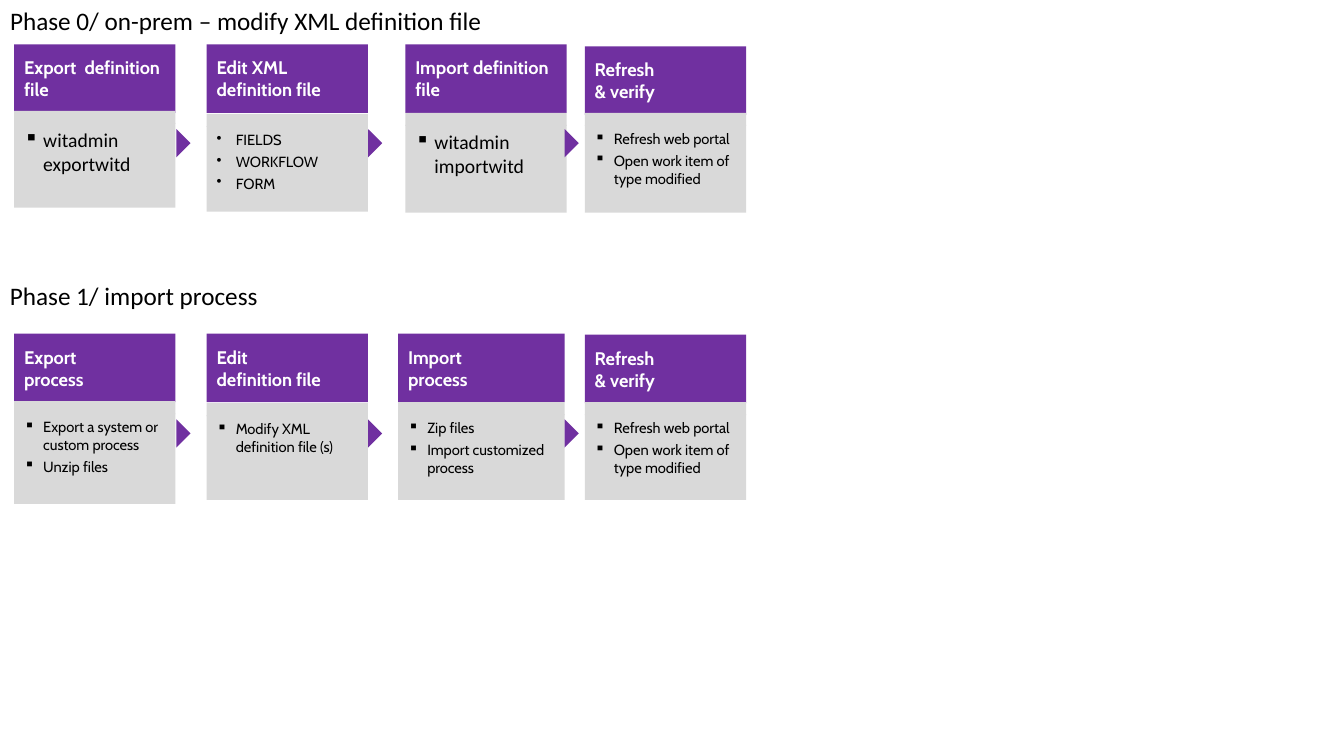
import pptx
import pptx.util
import pptx.dml.color
import pptx.enum.shapes
import pptx.enum.text
import lxml.etree

RGB = pptx.dml.color.RGBColor
PURPLE = RGB(0x70, 0x30, 0xA0)
GREY = RGB(0xD9, 0xD9, 0xD9)
WHITE = RGB(0xFF, 0xFF, 0xFF)
BLACK = RGB(0, 0, 0)
KIND = pptx.enum.shapes.MSO_SHAPE
ANCHOR = pptx.enum.text.MSO_ANCHOR
LEFT = pptx.enum.text.PP_ALIGN.LEFT

deck = pptx.Presentation()
deck.slide_width = pptx.util.Inches(13.33)
deck.slide_height = pptx.util.Inches(7.5)
slide = deck.slides.add_slide(deck.slide_layouts[5])

# All lengths are percent of the slide's width or height
COL = deck.slide_width / 100
ROW = deck.slide_height / 100
HEAD = 9.07            # header height
STRIP = 1.73           # strip that joins header and list
LIFT = 1.6             # strip starts this far above the list
ARROWS = [12.6, 26.86, 41.49]
INDENT = pptx.util.Inches(0.19)


def add_block(kind, x, y, wide, high, color):
    block = slide.shapes.add_shape(
        kind, int(x * COL), int(y * ROW), int(wide * COL), int(high * ROW))
    block.shadow.inherit = False
    block.fill.solid()
    block.fill.fore_color.rgb = color
    block.line.fill.background()
    return block


def add_text(para, text, size, font, color, bold=False):
    para.alignment = LEFT
    for i, line in enumerate(text.split("\n")):
        if i:
            para.add_line_break()
        run = para.add_run()
        run.text = line
        run.font.size = pptx.util.Pt(size)
        run.font.name = font
        run.font.bold = bold
        run.font.color.rgb = color


# Each phase: heading, heading top, arrow top, cards
# Each card: left, width, header top, list top, list height,
#            header, bullet, list size, list font, items
VERIFY = ("Refresh\n& verify", "▪", 10.5, "Cabin",
          ["Refresh web portal", "Open work item of type modified"])
PHASES = [
    ("Phase 0/ on-prem – modify XML definition file", 0, 18, [
        (1.05, 12, 5.87, 16.27, 11.2, "Export  definition file",
         "▪", 14, "Calibri", ["witadmin exportwitd"]),
        (15.38, 12, 5.87, 16.67, 11.33, "Edit XML\ndefinition file",
         "•", 10.5, "Cabin", ["FIELDS", "WORKFLOW", "FORM"]),
        (30.16, 12, 5.87, 16.53, 11.6, "Import definition file",
         "▪", 14, "Calibri", ["witadmin importwitd"]),
        (43.51, 12, 6.13, 16.53, 11.6, *VERIFY)]),
    ("Phase 1/ import process", 36.4, 56.4, [
        (1.05, 12, 44.13, 54.67, 12, "Export\nprocess",
         "▪", 10.5, "Cabin",
         ["Export a system or custom process", "Unzip files"]),
        (15.38, 12, 44.13, 54.93, 11.2, "Edit\ndefinition file",
         "▪", 10.5, "Cabin", ["Modify XML definition file (s)"]),
        (29.63, 12.38, 44.13, 54.8, 11.33, "Import\nprocess",
         "▪", 10.5, "Cabin", ["Zip files", "Import customized process"]),
        (43.51, 12, 44.27, 54.8, 11.33, *VERIFY)]),
]

for phase, (label, top, tip, cards) in enumerate(PHASES):
    # Heading: the first one is the slide title
    if phase == 0:
        title = slide.shapes.title
    else:
        title = slide.shapes.add_textbox(0, 0, 0, 0)
    title.left, title.top = 0, int(top * ROW)
    title.width, title.height = int(38 * COL), int(5.33 * ROW)
    frame = title.text_frame
    frame.word_wrap = True
    frame.auto_size = pptx.enum.text.MSO_AUTO_SIZE.NONE
    frame.vertical_anchor = ANCHOR.TOP
    add_text(frame.paragraphs[0], label, 18, "Calibri", BLACK)

    # Cards: header, list and joining strip
    for x, wide, y, low, high, name, mark, size, font, items in cards:
        head = add_block(KIND.RECTANGLE, x, y, wide, HEAD, PURPLE)
        head.text_frame.vertical_anchor = ANCHOR.MIDDLE
        add_text(head.text_frame.paragraphs[0], name, 13, "Cabin", WHITE, True)

        body = add_block(KIND.RECTANGLE, x, low, wide, high, GREY)
        frame = body.text_frame
        frame.vertical_anchor = ANCHOR.TOP
        for i, item in enumerate(items):
            para = frame.add_paragraph() if i else frame.paragraphs[0]
            add_text(para, item, size, font, BLACK)
            para.space_before = pptx.util.Pt(3)
            props = para._p.get_or_add_pPr()
            props.set("marL", str(INDENT))
            props.set("indent", str(-INDENT))
            bullet = lxml.etree.SubElement(
                props, pptx.oxml.ns.qn("a:buChar"))
            bullet.set("char", mark)

        add_block(KIND.RECTANGLE, x, low - LIFT, wide, STRIP, GREY)

    # Arrows between the cards
    for x in ARROWS:
        arrow = add_block(KIND.ISOSCELES_TRIANGLE, x, tip, 2.1, 1.87, PURPLE)
        arrow.rotation = 90

deck.save("out.pptx")
